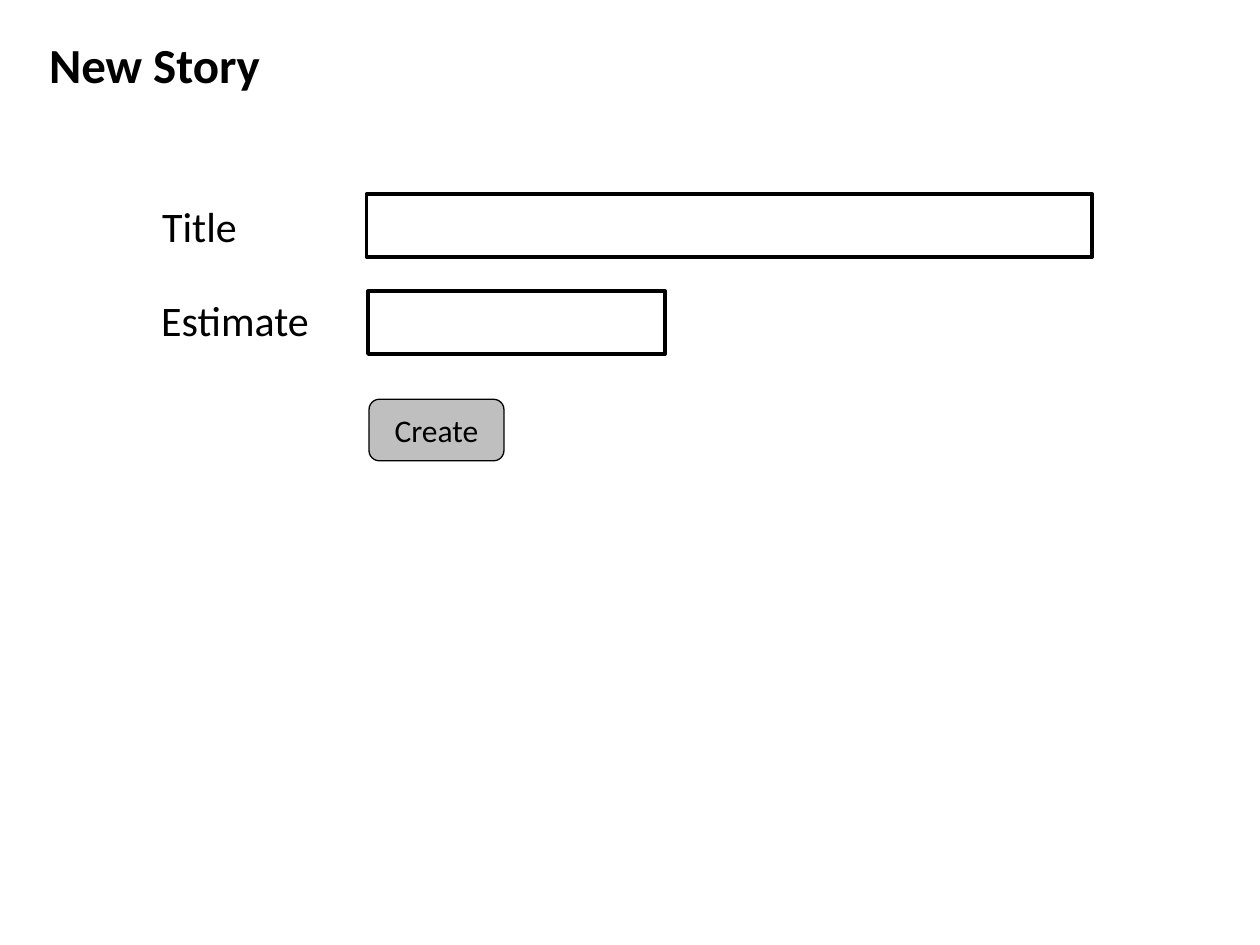
from dataclasses import dataclass
from typing import Optional

from pptx import Presentation
from pptx.dml.color import RGBColor
from pptx.enum.shapes import MSO_SHAPE
from pptx.enum.text import MSO_ANCHOR, MSO_AUTO_SIZE, PP_ALIGN
from pptx.util import Cm, Pt

BLACK = "000000"
GREY = "BFBFBF"


@dataclass
class Label:
    text: str
    left: float
    top: float
    width: float
    height: float
    size: int = 24
    bold: bool = False


@dataclass
class Box:
    left: float
    top: float
    width: float
    height: float
    kind: MSO_SHAPE = MSO_SHAPE.RECTANGLE
    line_width: float = 2
    fill: Optional[str] = None
    text: str = ""


def colour(value: str) -> RGBColor:
    return RGBColor.from_string(value)


def write(shape, text: str, size: int, bold: bool = False) -> None:
    run = shape.text_frame.paragraphs[0].add_run()
    run.text = text
    formats = {"name": "Calibri", "size": Pt(size), "bold": bold}
    for name, value in formats.items():
        setattr(run.font, name, value)
    run.font.color.rgb = colour(BLACK)


def place(item) -> list:
    return [Cm(value) for value in (item.left, item.top, item.width, item.height)]


def draw_label(slide, label: Label) -> None:
    shape = slide.shapes.add_textbox(*place(label))
    formats = {"word_wrap": False, "auto_size": MSO_AUTO_SIZE.SHAPE_TO_FIT_TEXT}
    for name, value in formats.items():
        setattr(shape.text_frame, name, value)
    write(shape, label.text, label.size, label.bold)


def draw_box(slide, box: Box) -> None:
    shape = slide.shapes.add_shape(box.kind, *place(box))
    shape.shadow.inherit = False
    if box.fill:
        shape.fill.solid()
        shape.fill.fore_color.rgb = colour(box.fill)
    else:
        shape.fill.background()
    shape.line.color.rgb = colour(BLACK)
    shape.line.width = Pt(box.line_width)
    if box.text:
        shape.text_frame.vertical_anchor = MSO_ANCHOR.MIDDLE
        shape.text_frame.paragraphs[0].alignment = PP_ALIGN.CENTER
        write(shape, box.text, 18)


presentation = Presentation()
presentation.slide_width = Cm(25.4)
presentation.slide_height = Cm(19.05)
slide = presentation.slides.add_slide(presentation.slide_layouts[6])

# Heading and field labels
LABELS = [
    Label("New Story", 0.74, 0.58, 4.8, 1.45, size=28, bold=True),
    Label("Title", 3.02, 3.91, 2.03, 1.27),
    Label("Estimate", 3.0, 5.82, 3.53, 1.27),
]
for label in LABELS:
    draw_label(slide, label)

# Input fields and the button
BOXES = [
    Box(7.39, 3.91, 14.63, 1.27),
    Box(7.42, 5.87, 5.99, 1.27),
    Box(7.44, 8.05, 2.72, 1.24, MSO_SHAPE.ROUNDED_RECTANGLE, 0.75, GREY, "Create"),
]
for box in BOXES:
    draw_box(slide, box)

presentation.save("out.pptx")
